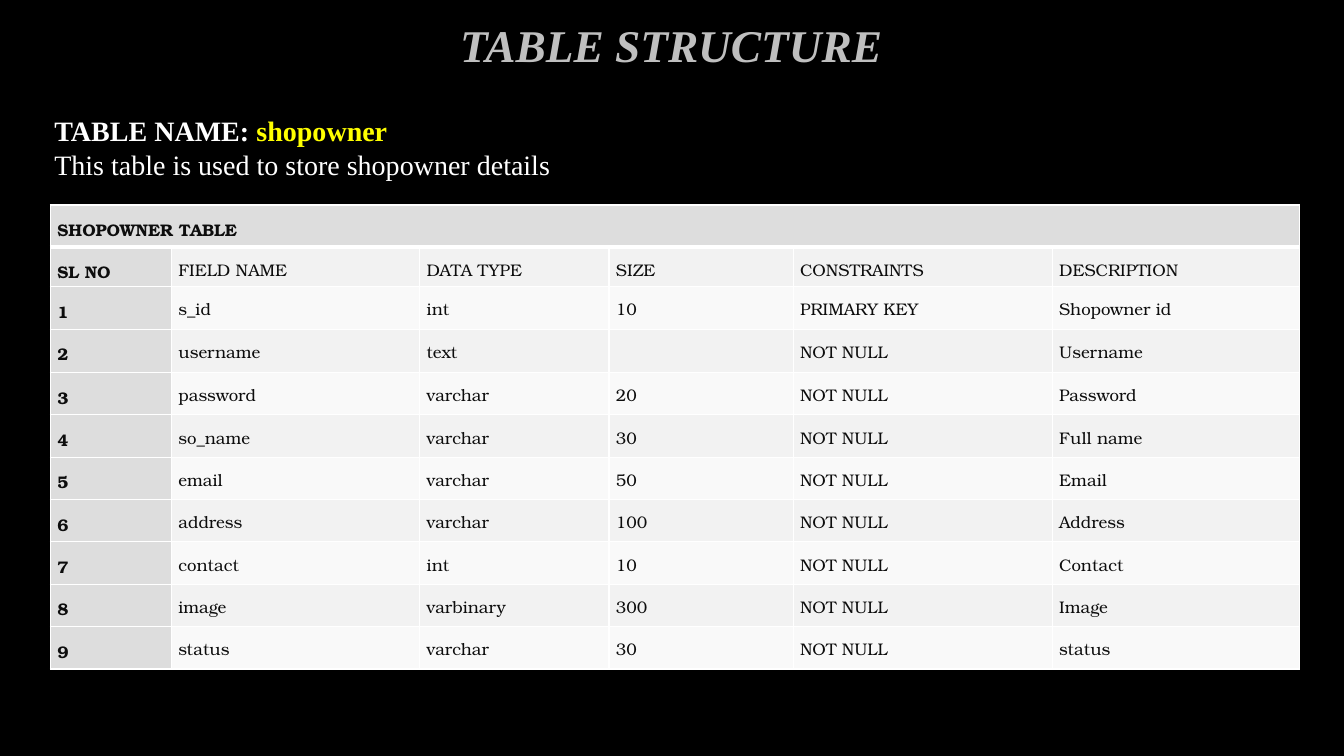
from lxml import etree
from pptx import Presentation
from pptx.dml import color
from pptx.enum import text
from pptx.oxml import ns
from pptx.util import Pt

SERIF = "Times New Roman"
TABLE_FONT = "TeX Gyre Bonum"
COLUMN_WIDTHS = [86.4, 177.4, 135.2, 131.6, 185, 176.4]
ROW_HEIGHTS = [30.25, 28, 30.5, 31] + [30.25] * 7
FIELDS = [
    ("s_id", "int", "10", "PRIMARY KEY", "Shopowner id"),
    ("username", "text", "", "NOT NULL", "Username"),
    ("password", "varchar", "20", "NOT NULL", "Password"),
    ("so_name", "varchar", "30", "NOT NULL", "Full name"),
    ("email", "varchar", "50", "NOT NULL", "Email"),
    ("address", "varchar", "100", "NOT NULL", "Address"),
    ("contact", "int", "10", "NOT NULL", "Contact"),
    ("image", "varbinary", "300", "NOT NULL", "Image"),
    ("status", "varchar", "30", "NOT NULL", "status"),
]
HEADINGS = ("SL NO", "FIELD NAME", "DATA TYPE", "SIZE", "CONSTRAINTS", "DESCRIPTION")


def rgb(value):
    return color.RGBColor.from_string(value)


def format_font(font, name, size, hex_color, bold=False, italic=False):
    font.name = name
    font.size = Pt(size)
    font.color.rgb = rgb(hex_color)
    font.bold = bold
    font.italic = italic


def add_text_frame(slide, left, top, width, height):
    shape = slide.shapes.add_textbox(Pt(left), Pt(top), Pt(width), Pt(height))
    frame = shape.text_frame
    frame.word_wrap = True
    frame.vertical_anchor = text.MSO_ANCHOR.TOP
    return frame


def add_title(slide, left, top, width, height):
    frame = add_text_frame(slide, left, top, width, height)
    frame.text = "TABLE STRUCTURE"
    paragraph = frame.paragraphs[0]
    paragraph.alignment = text.PP_ALIGN.CENTER
    paragraph.line_spacing = 0.9
    format_font(paragraph.runs[0].font, SERIF, 32.4, "BFBFBF", bold=True, italic=True)


def add_introduction(slide, left, top, width, height):
    frame = add_text_frame(slide, left, top, width, height)
    frame.margin_top = Pt(5.4)
    name_line = frame.paragraphs[0]
    for wording, hex_color in (("TABLE NAME: ", "FFFFFF"), ("shopowner", "FFFF00")):
        run = name_line.add_run()
        run.text = wording
        format_font(run.font, SERIF, 20, hex_color, bold=True)
    purpose_line = frame.add_paragraph()
    purpose_line.text = "This table is used to store shopowner details"
    format_font(purpose_line.runs[0].font, SERIF, 20, "FFFFFF")


def add_border(cell, side, width):
    properties = cell._tc.get_or_add_tcPr()
    line = etree.SubElement(properties, ns.qn(f"a:ln{side}"), w=str(Pt(width)))
    fill = etree.SubElement(line, ns.qn("a:solidFill"))
    etree.SubElement(fill, ns.qn("a:srgbClr"), val="FFFFFF")


def format_cell(cell, wording, hex_fill, bold, border_widths):
    cell.margin_left = cell.margin_right = Pt(5.04)
    cell.margin_top = cell.margin_bottom = 0
    for side, width in border_widths.items():
        add_border(cell, side, width)
    cell.fill.solid()
    cell.fill.fore_color.rgb = rgb(hex_fill)
    cell.text = wording
    paragraph = cell.text_frame.paragraphs[0]
    paragraph.line_spacing = 1.5
    format_font(paragraph.font, TABLE_FONT, 12, "0D0D0D", bold)
    for run in paragraph.runs:
        format_font(run.font, TABLE_FONT, 12, "0D0D0D", bold)


def add_field_table(slide, left, top):
    rows = [("SHOPOWNER TABLE",) + ("",) * 5, HEADINGS]
    rows += [(str(number),) + field for number, field in enumerate(FIELDS, 1)]
    frame = slide.shapes.add_table(
        len(rows), len(COLUMN_WIDTHS), Pt(left), Pt(top),
        Pt(sum(COLUMN_WIDTHS)), Pt(sum(ROW_HEIGHTS)),
    )
    table = frame.table
    table.first_row = table.horz_banding = False
    for column, width in zip(table.columns, COLUMN_WIDTHS):
        column.width = Pt(width)
    for row, height in zip(table.rows, ROW_HEIGHTS):
        row.height = Pt(height)
    table.cell(0, 0).merge(table.cell(0, len(COLUMN_WIDTHS) - 1))
    for row_index, row in enumerate(rows):
        border_widths = {
            "L": 1, "R": 1,
            "T": 3 if row_index == 1 else 1,
            "B": 3 if row_index == 0 else 1,
        }
        band = "F2F2F2" if row_index % 2 else "F9F9F9"
        for column_index, wording in enumerate(row):
            heading = row_index == 0 or column_index == 0
            format_cell(
                table.cell(row_index, column_index), wording,
                "DDDDDD" if heading else band, heading, border_widths,
            )


def add_table_structure_slide(presentation):
    slide = presentation.slides.add_slide(presentation.slide_layouts[6])
    slide.background.fill.solid()
    slide.background.fill.fore_color.rgb = rgb("000000")
    add_field_table(slide, 36, 146.4)
    add_title(slide, 72, 13, 815, 49)
    add_introduction(slide, 31.7, 75.6, 480, 80)


def main():
    presentation = Presentation()
    presentation.slide_width = Pt(960)
    presentation.slide_height = Pt(540)
    add_table_structure_slide(presentation)
    presentation.save("out.pptx")


if __name__ == "__main__":
    main()
